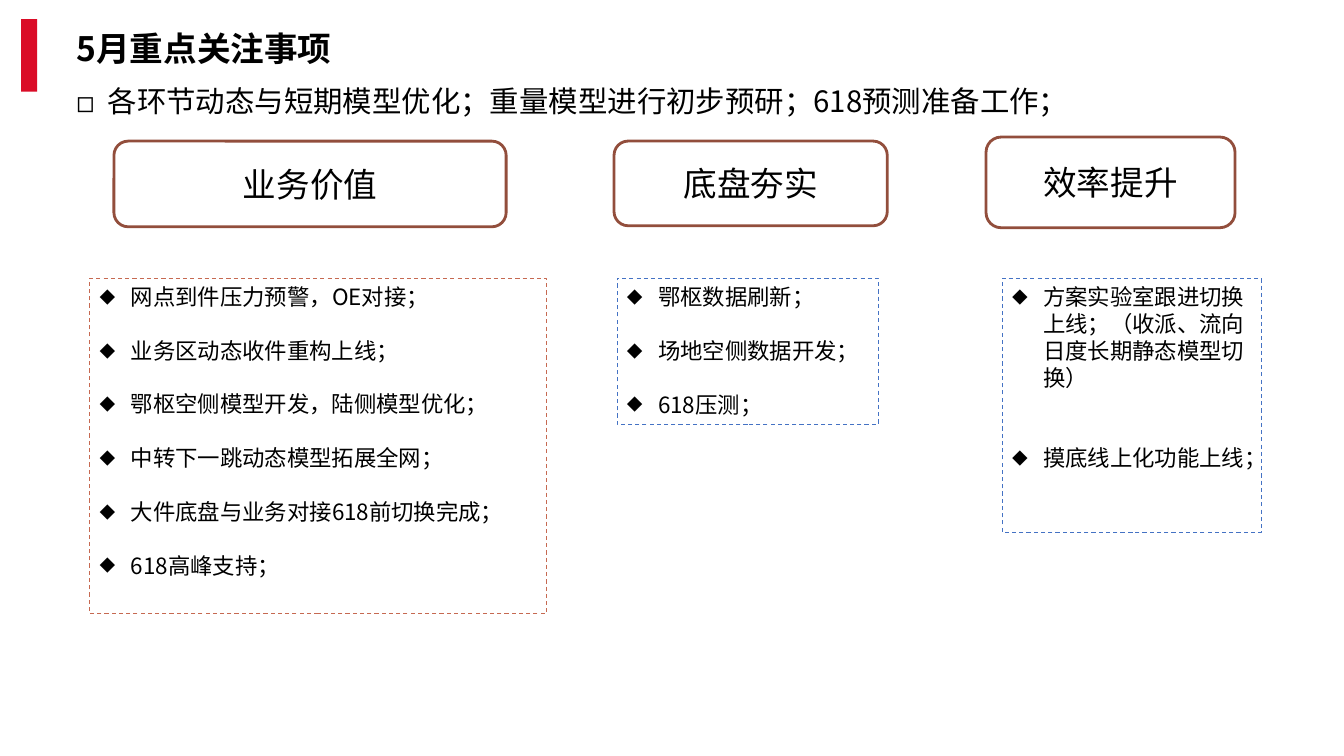
from dataclasses import dataclass

from lxml.etree import SubElement
from pptx import Presentation
from pptx.dml.color import RGBColor
from pptx.enum.dml import MSO_LINE
from pptx.enum.shapes import MSO_SHAPE as Shape
from pptx.enum.text import MSO_ANCHOR as Anchor, PP_ALIGN as Align
from pptx.oxml.ns import qn
from pptx.util import Inches, Pt


@dataclass(frozen=True)
class Theme:
    font: str = "Noto Sans CJK SC"
    ink: str = "000000"
    accent: str = "DA0C27"
    heading_line: str = "924E3C"
    value_line: str = "C66951"
    support_line: str = "4472C4"
    title_size: int = 24
    summary_size: int = 21
    item_size: int = 16
    leading: float = 1.2


THEME = Theme()

COLUMNS = [
    ("业务价值", (1.13, 1.4, 3.89, 0.85), (0.89, 2.76, 4.53, 3.33), THEME.value_line, 1,
     ["网点到件压力预警，OE对接；", "业务区动态收件重构上线；", "鄂枢空侧模型开发，陆侧模型优化；",
      "中转下一跳动态模型拓展全网；", "大件底盘与业务对接618前切换完成；", "618高峰支持；"]),
    ("底盘夯实", (6.09, 1.4, 2.71, 0.84), (6.12, 2.76, 2.59, 1.45), THEME.support_line, 1,
     ["鄂枢数据刷新；", "场地空侧数据开发；", "618压测；"]),
    ("效率提升", (9.78, 1.36, 2.47, 0.9), (9.94, 2.76, 2.57, 2.52), THEME.support_line, 2,
     ["方案实验室跟进切换上线；（收派、流向日度长期静态模型切换）", "摸底线上化功能上线；"]),
]


def write_lines(frame, lines, size, bold=False, align=Align.LEFT, gap_lines=0):
    frame.word_wrap = True
    frame.text = "\n".join(lines)
    for paragraph in frame.paragraphs:
        paragraph.alignment = align
        paragraph.line_spacing = Pt(size * THEME.leading)
        paragraph.space_after = Pt(size * THEME.leading * gap_lines)
        for run in paragraph.runs:
            run.font.name = THEME.font
            run.font.size = Pt(size)
            run.font.bold = bold
            run.font.color.rgb = RGBColor.from_string(THEME.ink)
            east_asian = SubElement(run.font._element, qn("a:ea"))
            east_asian.set("typeface", THEME.font)


def add_bullets(frame, symbol, percent):
    for paragraph in frame.paragraphs:
        properties = paragraph._p.get_or_add_pPr()
        properties.set("marL", str(Inches(0.31)))
        properties.set("indent", str(-Inches(0.31)))
        SubElement(properties, qn("a:buSzPct")).set("val", str(percent * 1000))
        SubElement(properties, qn("a:buFont")).set("typeface", THEME.font)
        SubElement(properties, qn("a:buChar")).set("char", symbol)


def add_panel(slide, kind, box, line_color, width):
    panel = slide.shapes.add_shape(kind, *map(Inches, box))
    panel.shadow.inherit = False
    panel.fill.background()
    panel.line.color.rgb = RGBColor.from_string(line_color)
    panel.line.width = Pt(width)
    return panel


def add_header(slide, box):
    left, top, width, height = box
    accent_bar = slide.shapes.add_shape(
        Shape.RECTANGLE, Inches(left), Inches(top), Inches(0.16), Inches(height))
    accent_bar.shadow.inherit = False
    accent_bar.fill.solid()
    accent_bar.fill.fore_color.rgb = RGBColor.from_string(THEME.accent)
    accent_bar.line.fill.background()

    text_left = left + 0.45
    title = slide.shapes.add_textbox(
        Inches(text_left), Inches(top + 0.04), Inches(8.77), Inches(0.5))
    write_lines(title.text_frame, ["5月重点关注事项"], THEME.title_size, bold=True)

    summary = slide.shapes.add_textbox(
        Inches(text_left), Inches(top + 0.59), Inches(width - 0.45), Inches(0.45))
    write_lines(summary.text_frame,
                ["各环节动态与短期模型优化；重量模型进行初步预研；618预测准备工作；"],
                THEME.summary_size)
    add_bullets(summary.text_frame, "◻", 100)


def add_heading(slide, box, heading):
    card = add_panel(slide, Shape.ROUNDED_RECTANGLE, box, THEME.heading_line, 2)
    card.text_frame.vertical_anchor = Anchor.MIDDLE
    write_lines(card.text_frame, [heading], THEME.title_size, align=Align.CENTER)


def add_item_list(slide, box, line_color, items, gap_lines):
    panel = add_panel(slide, Shape.RECTANGLE, box, line_color, 0.75)
    panel.line.dash_style = MSO_LINE.DASH
    panel.text_frame.vertical_anchor = Anchor.TOP
    write_lines(panel.text_frame, items, THEME.item_size, gap_lines=gap_lines)
    add_bullets(panel.text_frame, "◆", 70)


def main():
    deck = Presentation()
    deck.slide_width, deck.slide_height = Inches(13.33), Inches(7.5)
    slide = deck.slides.add_slide(deck.slide_layouts[6])
    add_header(slide, (0.21, 0.19, 13.07, 0.72))
    for heading, heading_box, list_box, line_color, gap_lines, items in COLUMNS:
        add_heading(slide, heading_box, heading)
        add_item_list(slide, list_box, line_color, items, gap_lines)
    deck.save("out.pptx")


if __name__ == "__main__":
    main()
